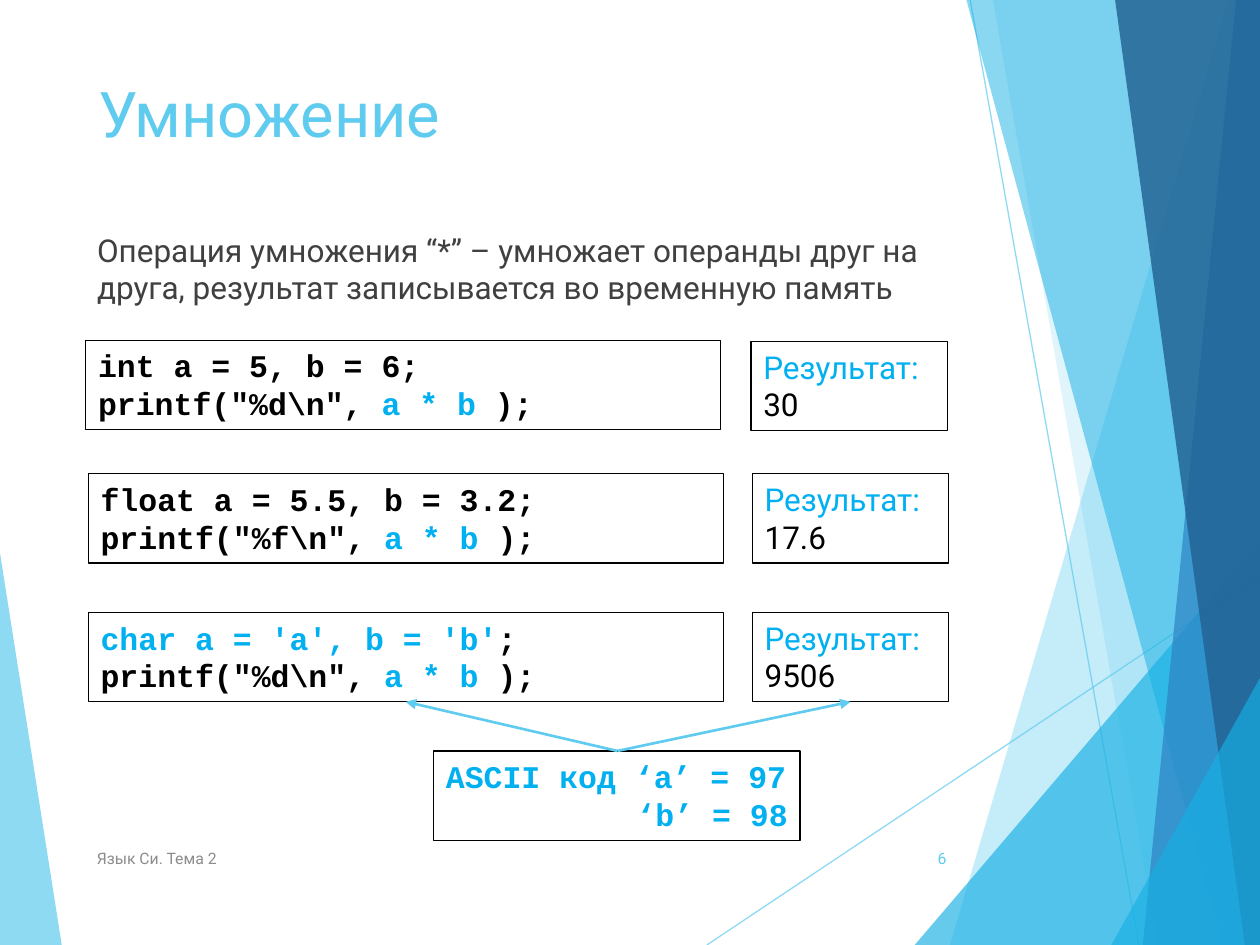
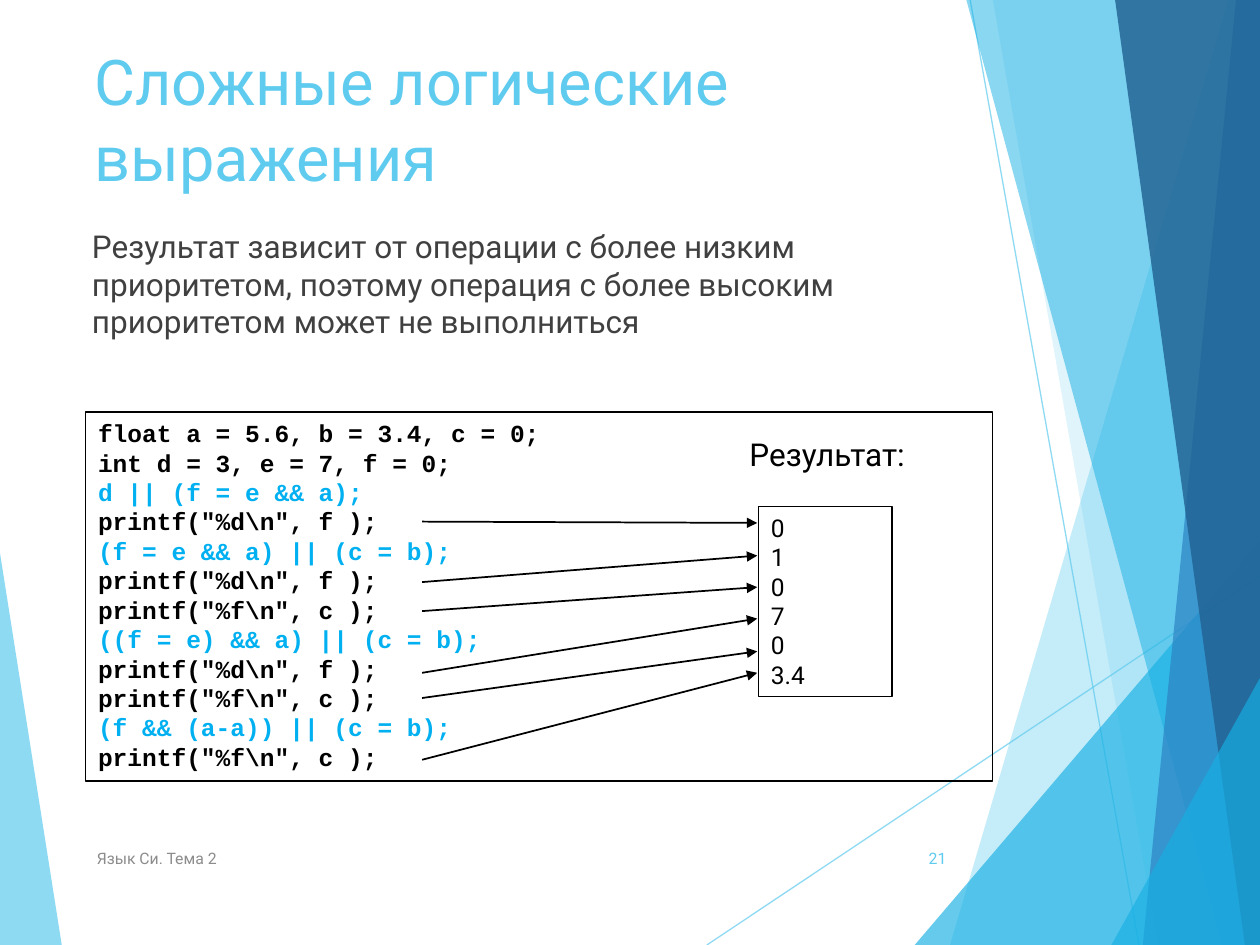
from dataclasses import dataclass
from typing import NamedTuple

from lxml.etree import SubElement
from pptx import Presentation
from pptx.dml.color import RGBColor
from pptx.enum.shapes import MSO_CONNECTOR
from pptx.enum.text import MSO_ANCHOR, MSO_AUTO_SIZE, PP_ALIGN
from pptx.oxml.ns import qn
from pptx.util import Inches, Pt


@dataclass(frozen=True)
class Theme:
    sky: str = "5FCBEF"
    azure: str = "17B0E4"
    blue: str = "2E83C3"
    navy: str = "226292"
    accent: str = "00B0F0"
    ink: str = "000000"
    body: str = "404040"
    muted: str = "8C8C8C"
    sans: str = "Roboto"
    mono: str = "Courier New"
    title_size: int = 36
    body_size: int = 18
    small_size: int = 14
    footer_size: int = 9


THEME = Theme()


class Rect(NamedTuple):
    x: float
    y: float
    w: float
    h: float

    def emu(self) -> list[int]:
        return [Inches(v) for v in self]


class Facet(NamedTuple):
    color: str
    opacity: int
    points: list[tuple[float, float]]


class Line(NamedTuple):
    start: tuple[float, float]
    end: tuple[float, float]
    color: str = THEME.ink
    width: float = 1
    arrow: bool = True
    opacity: int = 100


class TextStyle(NamedTuple):
    font: str
    size: int
    color: str = THEME.ink
    bold: bool = False


class Panel(NamedTuple):
    """Text box; each text line alternates plain and accented pieces."""
    rect: Rect
    style: TextStyle
    lines: list[tuple[str, ...]]
    outlined: bool = True


TITLE = TextStyle(THEME.sans, THEME.title_size, THEME.sky)
BODY = TextStyle(THEME.sans, THEME.body_size, THEME.body)
FOOTER = TextStyle(THEME.sans, THEME.footer_size, THEME.muted)
PAGE = TextStyle(THEME.sans, THEME.footer_size, THEME.sky)
RESULT = TextStyle(THEME.sans, THEME.body_size)
SMALL_RESULT = TextStyle(THEME.sans, THEME.small_size)
CODE = TextStyle(THEME.mono, THEME.body_size, bold=True)
SMALL_CODE = TextStyle(THEME.mono, THEME.small_size, bold=True)

LEFT_FACET = Facet(THEME.sky, 70, [(0, 4.39), (0.49, 7.5), (0, 7.5)])
THIN_LINES = [
    Line((5.61, 7.5), (10, 4.57), THEME.sky, 0.75, False, 70),
    Line((7.7, 0), (9.04, 7.5), THEME.sky, 0.75, False, 70),
]
RIGHT_FACETS = [
    Facet(THEME.sky, 36, [(9.75, 0), (7.54, 7.5), (10, 7.5), (10, 0)]),
    Facet(THEME.sky, 20, [(7.88, 0), (9.19, 7.5), (10, 7.5), (10, 0)]),
    Facet(THEME.azure, 66, [(7.26, 7.5), (10, 4.29), (10, 7.5)]),
    Facet(THEME.azure, 50, [(7.67, 0), (9.7, 7.5), (10, 7.5), (10, 0)]),
    Facet(THEME.blue, 70, [(9.81, 0), (9.07, 7.5), (10, 7.5), (10, 0)]),
    Facet(THEME.navy, 82, [(8.85, 0), (9.88, 7.5), (10, 7.5), (10, 0)]),
    Facet(THEME.azure, 66, [(8.82, 7.5), (10, 5.38), (10, 7.5)]),
]


def rgb(color: str) -> RGBColor:
    return RGBColor.from_string(color)


def set_opacity(sp, percent: int) -> None:
    for color in sp.element.spPr.iter(qn("a:srgbClr")):
        SubElement(color, qn("a:alpha"), val=str(percent * 1000))


def style_run(r, style: TextStyle, color: str) -> None:
    r.font.name = style.font
    r.font.size = Pt(style.size)
    r.font.bold = style.bold
    r.font.color.rgb = rgb(color)


def add_facet(s, facet: Facet):
    points = [(Inches(x), Inches(y)) for x, y in facet.points]
    builder = s.shapes.build_freeform(*points[0])
    builder.add_line_segments(points[1:], close=True)
    sp = builder.convert_to_shape()
    sp.shadow.inherit = False
    sp.fill.solid()
    sp.fill.fore_color.rgb = rgb(facet.color)
    sp.line.fill.background()
    set_opacity(sp, facet.opacity)
    return sp


def add_line(s, line: Line):
    ends = [Inches(v) for v in (*line.start, *line.end)]
    sp = s.shapes.add_connector(MSO_CONNECTOR.STRAIGHT, *ends)
    sp.line.color.rgb = rgb(line.color)
    sp.line.width = Pt(line.width)
    if line.opacity < 100:
        set_opacity(sp, line.opacity)
    if line.arrow:
        SubElement(sp.element.spPr.find(qn("a:ln")), qn("a:tailEnd"), type="triangle")
    SubElement(sp.element.spPr, qn("a:effectLst"))
    return sp


def add_panel(s, panel: Panel):
    sp = s.shapes.add_textbox(*panel.rect.emu())
    if panel.outlined:
        sp.line.color.rgb = rgb(THEME.ink)
        sp.line.width = Pt(0.75)
    tf = sp.text_frame
    tf.word_wrap = True
    tf.auto_size = MSO_AUTO_SIZE.SHAPE_TO_FIT_TEXT
    for i, line in enumerate(panel.lines):
        p = tf.add_paragraph() if i else tf.paragraphs[0]
        for j, piece in enumerate(line):
            if piece:
                r = p.add_run()
                r.text = piece
                style_run(r, panel.style, THEME.accent if j % 2 else panel.style.color)
    return sp


def fill_placeholder(sp, rect: Rect, text: str, style: TextStyle) -> None:
    sp.left, sp.top, sp.width, sp.height = rect.emu()
    tf = sp.text_frame
    tf.text = text
    tf.auto_size = MSO_AUTO_SIZE.NONE
    tf.vertical_anchor = MSO_ANCHOR.TOP
    p = tf.paragraphs[0]
    p.alignment = PP_ALIGN.LEFT
    p.space_before = Pt(0)
    pPr = p._p.get_or_add_pPr()
    pPr.set("marL", "0")
    pPr.set("indent", "0")
    SubElement(pPr, qn("a:buNone"))
    style_run(p.runs[0], style, style.color)


def add_footer(s, page: int) -> None:
    for rect, text, style, align in (
        (Rect(0.67, 6.61, 5.06, 0.4), "Язык Си. Тема 2", FOOTER, PP_ALIGN.LEFT),
        (Rect(7.05, 6.61, 0.56, 0.4), str(page), PAGE, PP_ALIGN.RIGHT),
    ):
        sp = add_panel(s, Panel(rect, style, [(text,)], outlined=False))
        tf = sp.text_frame
        tf.auto_size = MSO_AUTO_SIZE.NONE
        tf.vertical_anchor = MSO_ANCHOR.MIDDLE
        tf.paragraphs[0].alignment = align


def decorate_layout(layout, s) -> None:
    """Draw the facets on a slide, then move them to its layout."""
    for ph in list(layout.placeholders):
        if ph.placeholder_format.idx >= 10:
            ph.element.getparent().remove(ph.element)
    decor = [add_facet(s, LEFT_FACET)]
    decor += [add_line(s, line) for line in THIN_LINES]
    decor += [add_facet(s, facet) for facet in RIGHT_FACETS]
    for sp in decor:
        layout.shapes.element.append(sp.element)


def fill_frame(s, title: str, title_rect: Rect, body: str, body_rect: Rect, page: int) -> None:
    fill_placeholder(s.shapes.title, title_rect, title, TITLE)
    fill_placeholder(s.placeholders[1], body_rect, body, BODY)
    add_footer(s, page)


def multiplication(s) -> None:
    fill_frame(
        s, "Умножение", Rect(0.68, 0.54, 6.94, 0.97),
        "Операция умножения “*” – умножает операнды друг на друга, "
        "результат записывается во временную память",
        Rect(0.67, 1.78, 6.94, 0.8), 6)
    examples = [
        ((0.68, 2.7), (5.96, 2.71), ("int a = 5, b = 6;",), "%d", "30"),
        ((0.7, 3.76), (5.97, 3.76), ("float a = 5.5, b = 3.2;",), "%f", "17.6"),
        ((0.7, 4.86), (5.97, 4.86), ("", "char a = 'a', b = 'b'", ";"), "%d", "9506"),
    ]
    for code_at, result_at, declaration, fmt, result in examples:
        call = (f'printf("{fmt}\\n", ', "a * b", " );")
        add_panel(s, Panel(Rect(*code_at, 5.04, 0.71), CODE, [declaration, call]))
        add_panel(s, Panel(Rect(*result_at, 1.56, 0.71), RESULT,
                           [("", "Результат:"), (result,)]))
    ascii_codes = add_panel(s, Panel(Rect(3.44, 5.96, 2.91, 0.71), CODE,
                                     [("", "ASCII код ‘a’ = 97"), ("", "‘b’ = 98")]))
    ascii_codes.text_frame.paragraphs[1].alignment = PP_ALIGN.RIGHT
    for target_x in (3.22, 6.75):
        add_line(s, Line((4.9, 5.96), (target_x, 5.57), THEME.sky, 1.5))


def logical_expressions(s) -> None:
    fill_frame(
        s, "Сложные логические выражения", Rect(0.65, 0.29, 6.94, 1.44),
        "Результат зависит от операции с более низким приоритетом, поэтому "
        "операция с более высоким приоритетом может не выполниться",
        Rect(0.63, 1.75, 6.94, 1.02), 21)
    print_f = ('printf("%d\\n", f );',)
    print_c = ('printf("%f\\n", c );',)
    add_panel(s, Panel(Rect(0.68, 3.27, 7.2, 2.93), SMALL_CODE, [
        ("float a = 5.6, b = 3.4, c = 0;",),
        ("int d = 3, e = 7, f = 0;",),
        ("", "d || (f = e && a);"), print_f,
        ("", "(f = e && a) || (c = b);"), print_f, print_c,
        ("", "((f = e) && a) || (c = b);"), print_f, print_c,
        ("", "(f && (a-a)) || (c = b);"), print_c,
    ]))
    add_panel(s, Panel(Rect(5.85, 3.4, 1.57, 0.4), RESULT, [("Результат:",)], outlined=False))
    add_panel(s, Panel(Rect(6.02, 4.02, 1.06, 1.51), SMALL_RESULT,
                       [(value,) for value in ("0", "1", "0", "7", "0", "3.4")]))
    for print_y, value_y in ((4.14, 4.15), (4.62, 4.41), (4.85, 4.66),
                             (5.34, 4.91), (5.54, 5.17), (6.03, 5.34)):
        add_line(s, Line((3.35, print_y), (6.01, value_y)))


def main() -> None:
    prs = Presentation()
    prs.slide_width, prs.slide_height = Inches(10), Inches(7.5)
    layout = prs.slide_layouts[1]
    first, second = (prs.slides.add_slide(layout) for _ in range(2))
    decorate_layout(layout, first)
    multiplication(first)
    logical_expressions(second)
    prs.save("out.pptx")


if __name__ == "__main__":
    main()
